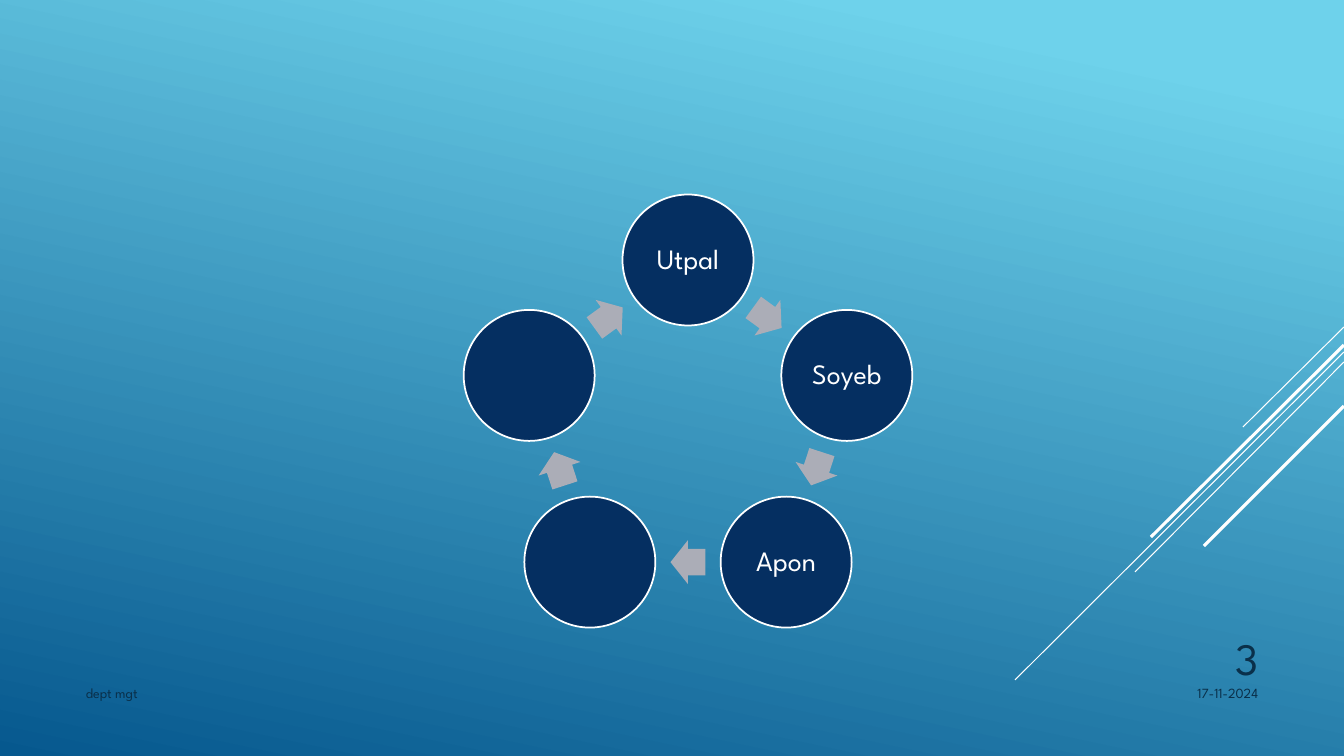
import math
from dataclasses import dataclass

import pptx
import pptx.dml.color
import pptx.enum.shapes
import pptx.enum.text
import pptx.oxml.ns
import pptx.util
from lxml import etree

SHAPE = pptx.enum.shapes.MSO_SHAPE
ALIGN = pptx.enum.text.PP_ALIGN
ANCHOR = pptx.enum.text.MSO_ANCHOR


@dataclass(frozen=True)
class Theme:
    font: str = "League Spartan"
    sky: str = "6ED2EB"
    deep: str = "06588E"
    navy: str = "052F61"
    grey: str = "ABADB7"
    white: str = "FFFFFF"
    ink: str = "0A304A"
    small: int = 10
    name: int = 20
    number: int = 32


THEME = Theme()
PX_PER_INCH = 100.8
WIDTH, HEIGHT = 1344, 756

# Cycle geometry
CENTRE_X, CENTRE_Y = 688, 427
RADIUS, CIRCLE = 167, 131
ARROW_W, ARROW_H = 35, 44
MEMBERS = ["Utpal", "Soyeb", "Apon", "", ""]

# Right-edge start y, end x, end y, weight
RAYS = [
    (327, 1243, 427, 0.75),
    (352, 1015, 680, 0.75),
    (362, 1135, 572, 0.75),
    (345, 1151, 537, 2.25),
    (406, 1204, 546, 2.25),
]


def px(n):
    return pptx.util.Emu(round(n * 914400 / PX_PER_INCH))


def rgb(value):
    return pptx.dml.color.RGBColor.from_string(value)


def set_text(tf, text, size, color, align, anchor):
    tf.text = text
    tf.word_wrap = True
    tf.vertical_anchor = anchor
    p = tf.paragraphs[0]
    p.alignment = align
    for r in p.runs:
        r.font.name = THEME.font
        r.font.size = pptx.util.Pt(size)
        r.font.color.rgb = rgb(color)


def add_background(s):
    fill = s.background.fill
    fill.gradient()
    fill.gradient_angle = 258
    stops = zip(fill.gradient_stops, [(0.1, THEME.sky), (1, THEME.deep)])
    for stop, (position, color) in stops:
        stop.position = position
        stop.color.rgb = rgb(color)


def add_ray(s, y1, x2, y2, weight):
    line = s.shapes.add_connector(
        pptx.enum.shapes.MSO_CONNECTOR.STRAIGHT, px(WIDTH), px(y1), px(x2), px(y2))
    line.line.color.rgb = rgb(THEME.white)
    line.line.width = pptx.util.Pt(weight)
    etree.SubElement(line._element.spPr, pptx.oxml.ns.qn("a:effectLst"))


def add_centred(s, kind, x, y, w, h, color):
    sp = s.shapes.add_shape(kind, px(x - w / 2), px(y - h / 2), px(w), px(h))
    sp.shadow.inherit = False
    sp.fill.solid()
    sp.fill.fore_color.rgb = rgb(color)
    return sp


def add_member(s, x, y, name):
    sp = add_centred(s, SHAPE.OVAL, x, y, CIRCLE, CIRCLE, THEME.navy)
    sp.line.color.rgb = rgb(THEME.white)
    sp.line.width = pptx.util.Pt(1.25)
    if name:
        tf = sp.text_frame
        tf.margin_left = tf.margin_right = tf.margin_top = tf.margin_bottom = px(3)
        set_text(tf, name, THEME.name, THEME.white, ALIGN.CENTER, ANCHOR.MIDDLE)
        tf.paragraphs[0].line_spacing = 0.9


def add_arrow(s, x, y, angle):
    sp = add_centred(s, SHAPE.RIGHT_ARROW, x, y, ARROW_W, ARROW_H, THEME.grey)
    sp.line.fill.background()
    sp.adjustments[0] = 0.6
    sp.adjustments[1] = 0.5
    sp.rotation = angle


def on_ring(radius, angle):
    turn = math.radians(angle)
    return CENTRE_X + radius * math.sin(turn), CENTRE_Y - radius * math.cos(turn)


def add_cycle(s):
    step = 360 / len(MEMBERS)
    # Arrows sit midway along the chord between neighbouring circles
    chord_radius = RADIUS * math.cos(math.radians(step / 2))
    for i, name in enumerate(MEMBERS):
        add_member(s, *on_ring(RADIUS, i * step), name)
        middle = (i + 0.5) * step
        add_arrow(s, *on_ring(chord_radius, middle), middle)


def add_label(s, x, y, w, h, text, size, align, anchor=ANCHOR.TOP):
    box = s.shapes.add_textbox(px(x), px(y), px(w), px(h))
    set_text(box.text_frame, text, size, THEME.ink, align, anchor)


def main():
    prs = pptx.Presentation()
    prs.slide_width, prs.slide_height = px(WIDTH), px(HEIGHT)
    s = prs.slides.add_slide(prs.slide_layouts[6])

    # Backdrop
    add_background(s)
    for ray in RAYS:
        add_ray(s, *ray)

    # Team cycle
    add_cycle(s)

    # Footer
    add_label(s, 1092, 680, 176, 40, "17-11-2024", THEME.small, ALIGN.RIGHT)
    add_label(s, 76, 680, 832, 40, "dept mgt", THEME.small, ALIGN.LEFT)
    add_label(s, 1142, 615, 126, 74, "3", THEME.number, ALIGN.RIGHT, ANCHOR.BOTTOM)

    prs.save("out.pptx")


if __name__ == "__main__":
    main()
